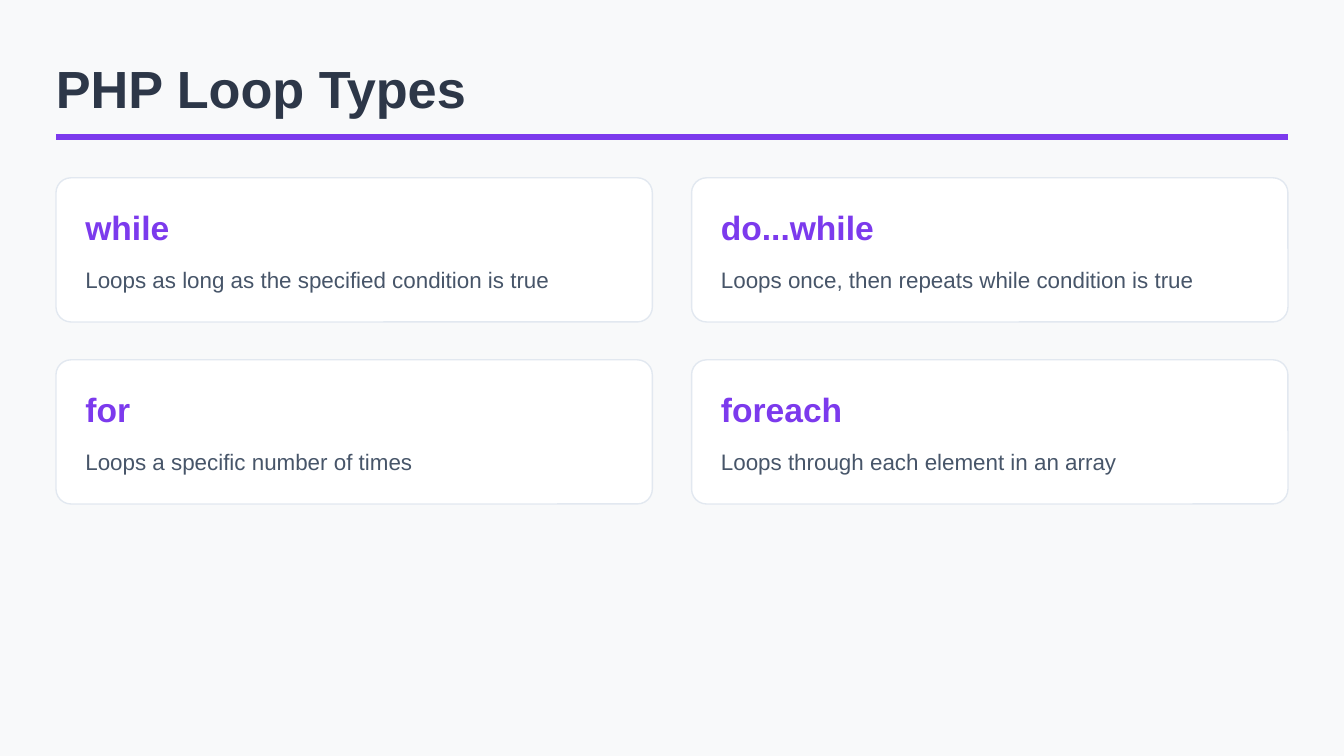
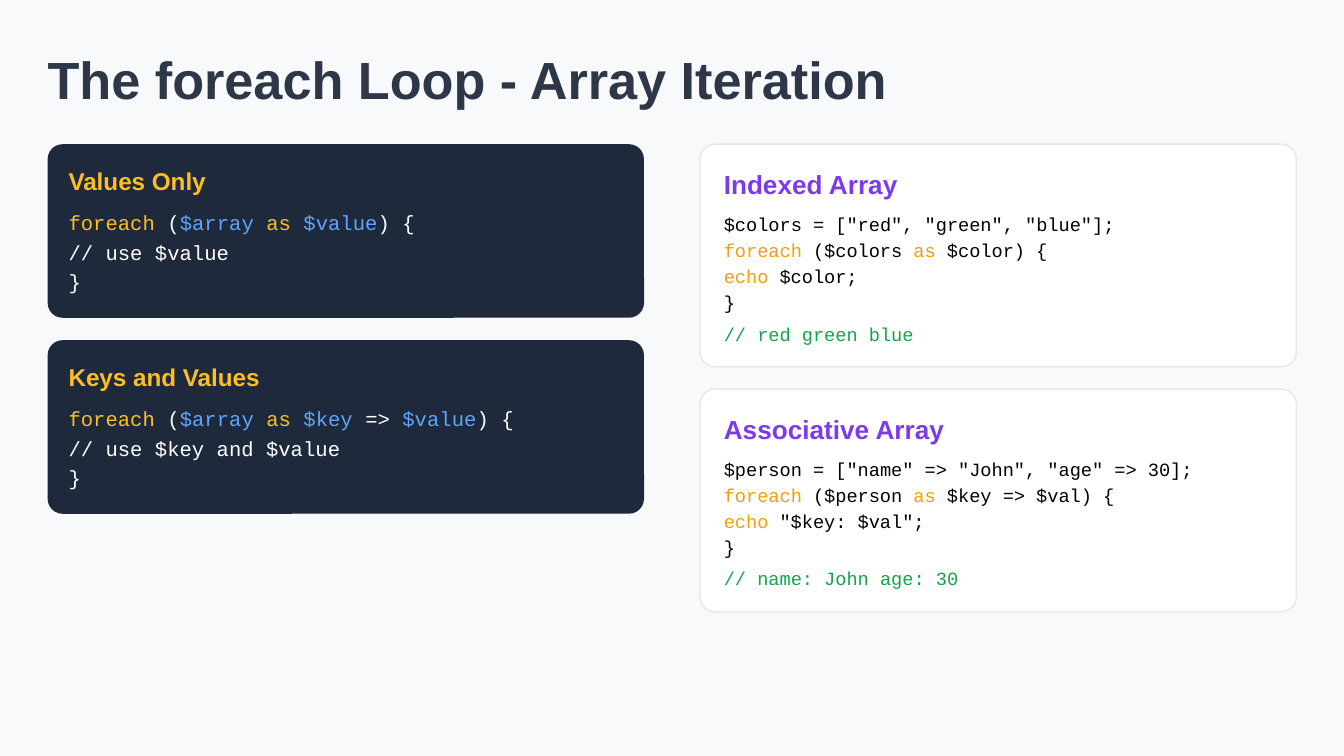
from pptx import Presentation
from pptx import util as u
from pptx.dml.color import RGBColor
from pptx.enum import shapes, text
from pptx.oxml.ns import qn
from lxml import etree

PX = 9525  # EMU, 96 px to the inch
SANS, MONO = "Arial", "Courier New"
PAPER, INK, SLATE = "F8F9FA", "2D3748", "475569"
VIOLET, WHITE, BORDER, NAVY = "7C3AED", "FFFFFF", "E2E8F0", "1E293B"
YELLOW, BLUE, AMBER, GREEN, BLACK = "FBBF24", "60A5FA", "F59E0B", "16A34A", "000000"
RADIUS = u.Pt(8)

LOOP_TYPES = [
    ("while", "Loops as long as the specified condition is true"),
    ("do...while", "Loops once, then repeats while condition is true"),
    ("for", "Loops a specific number of times"),
    ("foreach", "Loops through each element in an array"),
]

# Each code line is a list of (text, colour) spans.
SYNTAX = [
    ("Values Only", [
        [("foreach", YELLOW), (" (", WHITE), ("$array ", BLUE), ("as ", YELLOW),
         ("$value", BLUE), (") {", WHITE)],
        [("// use $value", WHITE)],
        [("}", WHITE)],
    ]),
    ("Keys and Values", [
        [("foreach", YELLOW), (" (", WHITE), ("$array ", BLUE), ("as ", YELLOW),
         ("$key", BLUE), (" => ", WHITE), ("$value", BLUE), (") {", WHITE)],
        [("// use $key and $value", WHITE)],
        [("}", WHITE)],
    ]),
]
EXAMPLES = [
    ("Indexed Array", [
        [('$colors = ["red", "green", "blue"];', BLACK)],
        [("foreach", AMBER), (" ($colors ", BLACK), ("as", AMBER), (" $color) {", BLACK)],
        [("echo", AMBER), (" $color;", BLACK)],
        [("}", BLACK)],
        [("// red green blue", GREEN)],
    ]),
    ("Associative Array", [
        [('$person = ["name" => "John", "age" => 30];', BLACK)],
        [("foreach", AMBER), (" ($person ", BLACK), ("as", AMBER),
         (" $key => $val) {", BLACK)],
        [("echo", AMBER), (' "$key: $val";', BLACK)],
        [("}", BLACK)],
        [("// name: John age: 30", GREEN)],
    ]),
]


def px(*lengths):
    return [u.Emu(length * PX) for length in lengths]


def color(value):
    return RGBColor.from_string(value)


def write(frame, lines, size, font=SANS, bold=False, gaps=(), leading=None):
    """Fill a frame with lines of spans; gaps are points before each later line."""
    frame.word_wrap = True
    frame.auto_size = text.MSO_AUTO_SIZE.NONE
    frame.vertical_anchor = text.MSO_ANCHOR.TOP
    frame.margin_left = frame.margin_top = frame.margin_right = frame.margin_bottom = 0
    for index, spans in enumerate(lines):
        para = frame.add_paragraph() if index else frame.paragraphs[0]
        para.alignment = text.PP_ALIGN.LEFT
        if index:
            para.space_before = u.Pt(gaps[index - 1])
        if leading:
            para.line_spacing = u.Pt(leading)
        for words, fill in spans:
            span = para.add_run()
            span.text = words
            span.font.name = font
            span.font.size = u.Pt(size)
            span.font.bold = bold
            span.font.color.rgb = color(fill)


def add_text(page, box, lines, **style):
    write(page.shapes.add_textbox(*px(*box)).text_frame, lines, **style)


def add_titled_page(deck, title, box):
    page = deck.slides.add_slide(deck.slide_layouts.get_by_name("Title Only"))
    holder = page.shapes.title
    holder.left, holder.top, holder.width, holder.height = px(*box)
    write(holder.text_frame, [[(title, INK)]], size=28, bold=True)
    return page


def add_rule(page, left, right, y):
    rule = page.shapes.add_connector(
        shapes.MSO_CONNECTOR.STRAIGHT, *px(left, y, right, y))
    rule.line.color.rgb = color(VIOLET)
    rule.line.width = u.Pt(3)
    etree.SubElement(rule.element.spPr, qn("a:effectLst"))


def add_card(page, box, fill, border=None):
    card = page.shapes.add_shape(shapes.MSO_SHAPE.ROUNDED_RECTANGLE, *px(*box))
    card.shadow.inherit = False
    card.adjustments[0] = RADIUS / min(card.width, card.height)
    card.fill.solid()
    card.fill.fore_color.rgb = color(fill)
    if border:
        card.line.color.rgb = color(border)
        card.line.width = u.Pt(0.75)
    else:
        card.line.fill.background()


def add_loop_card(page, box, name, meaning):
    left, top = box[:2]
    add_card(page, box, WHITE, BORDER)
    add_text(page, (left + 21, top + 21, 393, 28), [[(name, VIOLET)]],
             size=18, bold=True)
    add_text(page, (left + 21, top + 60, 393, 22), [[(meaning, SLATE)]],
             size=12, leading=16.8)


def add_syntax_card(page, box, heading, code):
    left, top = box[:2]
    add_card(page, box, NAVY)
    add_text(page, (left + 15, top + 16, 402, 21), [[(heading, YELLOW)]],
             size=13, bold=True)
    add_text(page, (left + 15, top + 47, 402, 57), code,
             size=11, font=MONO, gaps=(2.65, 2.65))


def add_example_card(page, box, heading, code):
    left, top = box[:2]
    add_card(page, box, WHITE, BORDER)
    add_text(page, (left + 17, top + 17, 400, 22), [[(heading, VIOLET)]],
             size=14, bold=True)
    add_text(page, (left + 17, top + 49, 400, 90), code,
             size=10, font=MONO, gaps=(1.9, 1.9, 1.9, 4.9))


def build_loop_types(deck):
    page = add_titled_page(deck, "PHP Loop Types", (40, 40, 898, 43))
    add_rule(page, 40, 920, 98)
    for index, (name, meaning) in enumerate(LOOP_TYPES):
        row, column = divmod(index, 2)
        box = (40 + column * 454, 127 + row * 130, 426, 103)
        add_loop_card(page, box, name, meaning)


def build_foreach(deck):
    page = add_titled_page(deck, "The foreach Loop - Array Iteration", (34, 34, 911, 43))
    columns = [(add_syntax_card, SYNTAX, 34, 124), (add_example_card, EXAMPLES, 500, 159)]
    for add, cards, left, height in columns:
        for row, (heading, code) in enumerate(cards):
            add(page, (left, 103 + row * (height + 16), 426, height), heading, code)


def main():
    deck = Presentation()
    deck.slide_width, deck.slide_height = px(960, 540)
    background = deck.slide_master.background.fill
    background.solid()
    background.fore_color.rgb = color(PAPER)
    build_loop_types(deck)
    build_foreach(deck)
    deck.save("out.pptx")


if __name__ == "__main__":
    main()
